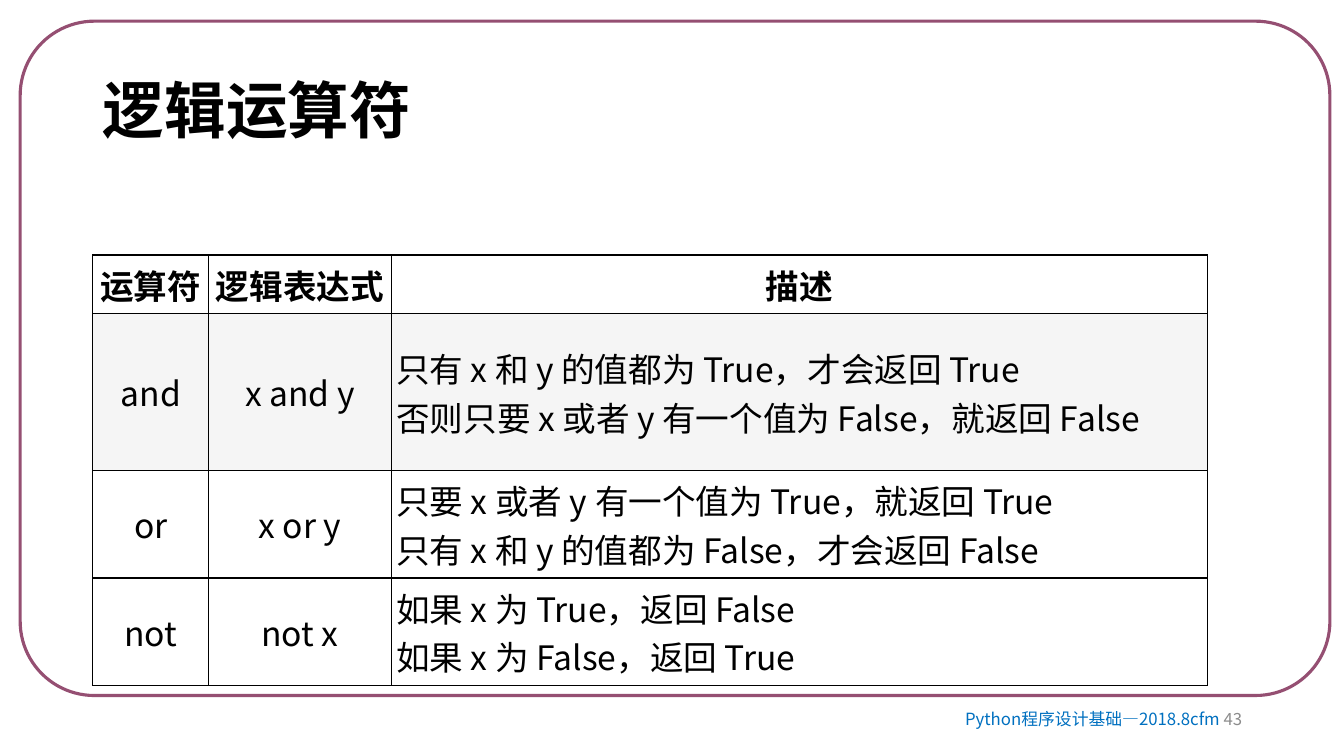
from lxml.etree import SubElement
from pptx import Presentation
from pptx.dml.color import RGBColor
from pptx.enum.shapes import MSO_SHAPE
from pptx.enum.text import MSO_ANCHOR, PP_ALIGN
from pptx.oxml.ns import qn
from pptx.util import Inches, Pt

FACE = "Noto Sans CJK SC"


def paint(fill, color):
    fill.solid()
    fill.fore_color.rgb = RGBColor.from_string(color)


def style(run, size, color="000000", bold=False):
    """Format a run, with one face for Latin and East Asian text."""
    for name, value in {"size": Pt(size), "bold": bold, "name": FACE}.items():
        setattr(run.font, name, value)
    paint(run.font.fill, color)
    SubElement(run.font._element, qn("a:ea"), typeface=FACE)


prs = Presentation()
prs.slide_width, prs.slide_height = Inches(13.33), Inches(7.5)
slide = prs.slides.add_slide(prs.slide_layouts[5])
shapes = slide.shapes

# Title
title = shapes.title
title.left, title.top = Inches(0.92), Inches(0.4)
title.width, title.height = Inches(11.5), Inches(1.45)
title.text_frame.text = "逻辑运算符"
title.text_frame.vertical_anchor = MSO_ANCHOR.MIDDLE
head = title.text_frame.paragraphs[0]
head.alignment, head.line_spacing = PP_ALIGN.LEFT, 0.9
style(head.runs[0], 44, bold=True)

# Rounded frame, behind the title
frame = shapes.add_shape(MSO_SHAPE.ROUNDED_RECTANGLE, Inches(0.2), Inches(0.21),
                         Inches(12.99), Inches(6.69))
frame.adjustments[0] = 0.11
frame.shadow.inherit = False
frame.fill.background()
paint(frame.line.fill, "954F72")
frame.line.width = Pt(2.25)
title._element.addprevious(frame._element)

# Operator table
rows = [
    ("运算符", "逻辑表达式", "描述"),
    ("and", "x and y", "只有 x 和 y 的值都为 True，才会返回 True\n"
     "否则只要 x 或者 y 有一个值为 False，就返回 False"),
    ("or", "x or y", "只要 x 或者 y 有一个值为 True，就返回 True\n"
     "只有 x 和 y 的值都为 False，才会返回 False"),
    ("not", "not x", "如果 x 为 True，返回 False\n如果 x 为 False，返回 True"),
]
widths = [1.15, 1.81, 8.1]
heights = [0.58, 1.55, 1.07, 1.07]
table = shapes.add_table(len(rows), len(widths), Inches(0.92), Inches(2.53),
                         Inches(sum(widths)), Inches(sum(heights))).table
table.first_row = table.horz_banding = False
for col, width in zip(table.columns, widths):
    col.width = Inches(width)
for r, (texts, height) in enumerate(zip(rows, heights)):
    table.rows[r].height = Inches(height)
    for c, text in enumerate(texts):
        cell = table.cell(r, c)
        cell.vertical_anchor = MSO_ANCHOR.MIDDLE
        for side in ("left", "right", "top", "bottom"):
            setattr(cell, f"margin_{side}", Inches(0.05))
        para = cell.text_frame.paragraphs[0]
        para.text = text
        para.alignment = PP_ALIGN.LEFT if r and c == 2 else PP_ALIGN.CENTER
        for run in para.runs:
            style(run, 24, bold=r == 0)
        props = cell._tc.get_or_add_tcPr()
        for tag in ("a:lnL", "a:lnR", "a:lnT", "a:lnB"):
            line = SubElement(props, qn(tag), w=str(Pt(1)))
            ink = SubElement(line, qn("a:solidFill"))
            SubElement(ink, qn("a:srgbClr"), val="000000")
        if r == 1:
            paint(cell.fill, "F5F5F5")
        else:
            cell.fill.background()

# Footer and page number
foot = shapes.add_textbox(Inches(9.42), Inches(6.95), Inches(3), Inches(0.4)).text_frame
foot.word_wrap = True
foot.vertical_anchor = MSO_ANCHOR.MIDDLE
para = foot.paragraphs[0]
para.alignment, para.line_spacing = PP_ALIGN.RIGHT, 0.83
for text, color in (("Python程序设计基础—2018.8cfm ", "0070C0"), ("43", "8C8C8C")):
    run = para.add_run()
    run.text = text
    style(run, 12, color)

prs.save("out.pptx")
